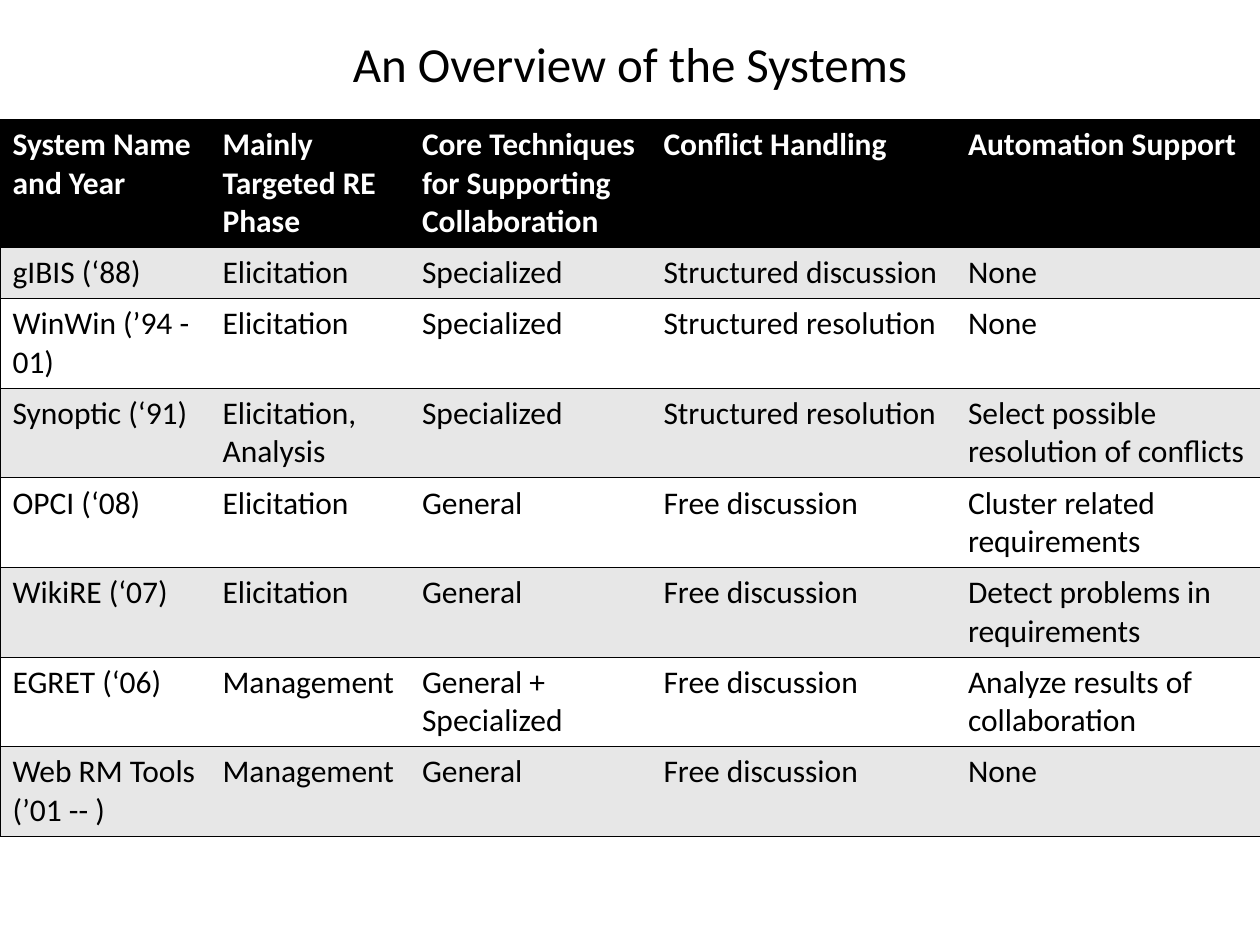
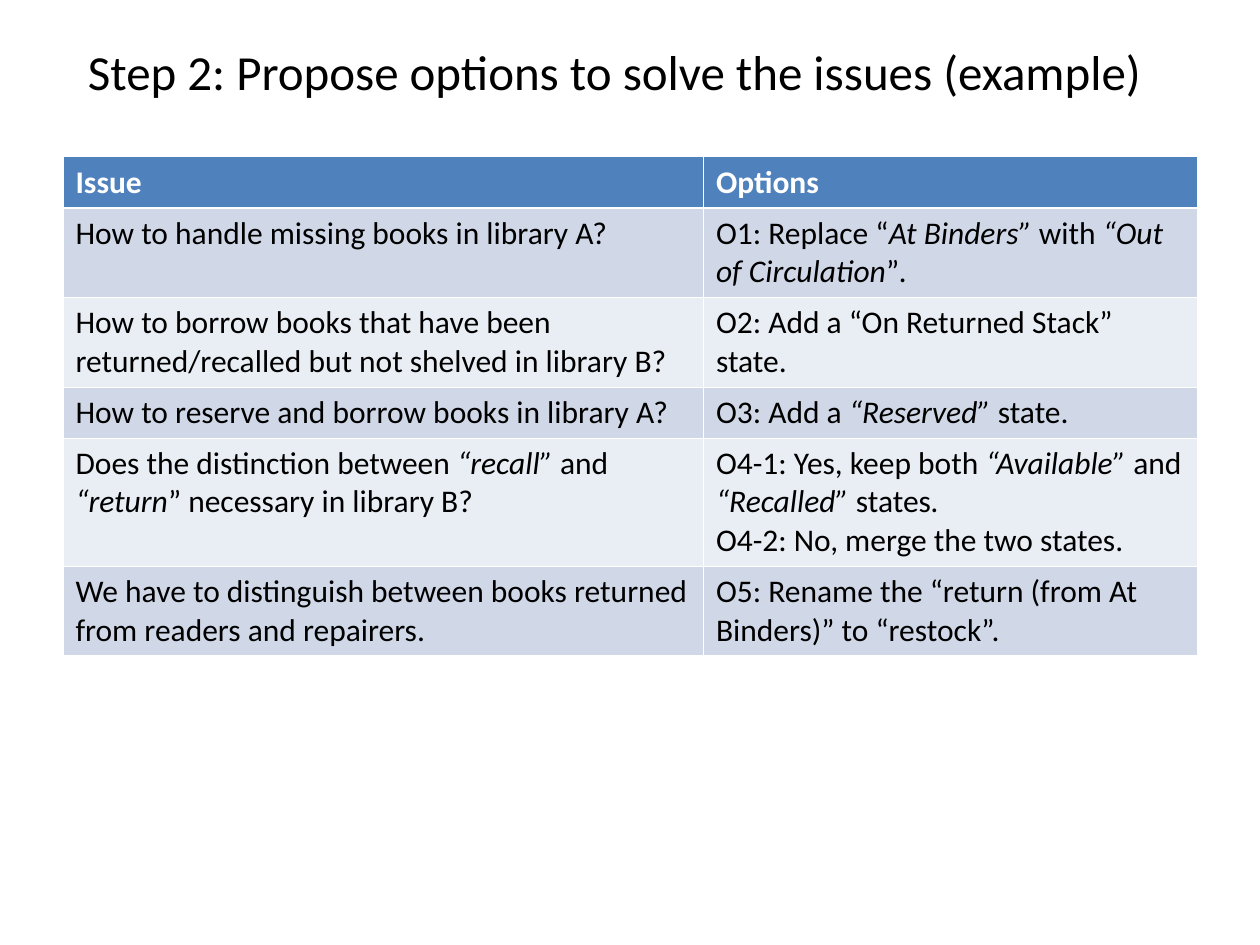
import pptx
import pptx.util
import pptx.dml.color
import pptx.enum.text
import pptx.oxml
import pptx.oxml.ns

Pt = pptx.util.Pt
FACE = "Calibri"
BLACK, WHITE = "000000", "FFFFFF"
THIN, THICK = 0.45, 1.47
NO_GRID = "{2D5ABB26-0587-4C30-8999-92F81FD0307C}"

MONO = dict(head=BLACK, bands=("E7E7E7", WHITE), line=BLACK, inner=False, rule=THIN)
BLUE = dict(head="4F81BD", bands=("D0D8E8", "E9EDF4"), line=WHITE, inner=True, rule=THICK)

SYSTEMS = [
    ("System Name and Year", "Mainly Targeted RE Phase",
     "Core Techniques for Supporting Collaboration", "Conflict Handling", "Automation Support"),
    ("gIBIS (‘88)", "Elicitation", "Specialized", "Structured discussion", "None"),
    ("WinWin (’94 - 01)", "Elicitation", "Specialized", "Structured resolution", "None"),
    ("Synoptic (‘91)", "Elicitation, Analysis", "Specialized", "Structured resolution",
     "Select possible resolution of conflicts"),
    ("OPCI (‘08)", "Elicitation", "General", "Free discussion", "Cluster related requirements"),
    ("WikiRE (‘07)", "Elicitation", "General", "Free discussion", "Detect problems in requirements"),
    ("EGRET (‘06)", "Management", "General + Specialized", "Free discussion",
     "Analyze results of collaboration"),
    ("Web RM Tools (’01 -- )", "Management", "General", "Free discussion", "None"),
]

ISSUES = [
    ("Issue", "Options"),
    ("How to handle missing books in library A?",
     "O1: Replace “*At Binders”* with *“Out of Circulation*”*.*"),
    ("How to borrow books that have been returned/recalled but not shelved in library B?",
     "O2: Add a “On Returned Stack” state."),
    ("How to reserve and borrow books in library A?", "O3: Add a *“Reserved”* state."),
    ("Does the distinction between *“recall” *and *“return*” necessary in library B?",
     "O4-1: Yes, keep both *“Available” *and *“Recalled” *states*.*\n"
     "O4-2: No, merge the two states."),
    ("We have to distinguish between books returned from readers and repairers.",
     "O5: Rename the “return (from At Binders)” to “restock”."),
]


def paint(hue):
    return pptx.dml.color.RGBColor.from_string(hue)


def style(font, hue, **form):
    for key, value in dict(name=FACE, **form).items():
        setattr(font, key, value)
    font.color.rgb = paint(hue)


def write(frame, text, hue, **form):
    for num, part in enumerate(text.split("\n")):
        para = frame.add_paragraph() if num else frame.paragraphs[0]
        for turn, piece in enumerate(part.split("*")):
            if piece:
                run = para.add_run()
                run.text = piece
                style(run.font, hue, italic=turn % 2 == 1, **form)


def edge(cell, side, hue, width):
    space = pptx.oxml.ns.nsdecls("a")
    cell._tc.get_or_add_tcPr().append(pptx.oxml.parse_xml(
        f'<a:ln{side} {space} w="{int(Pt(width))}"><a:solidFill>'
        f'<a:srgbClr val="{hue}"/></a:solidFill></a:ln{side}>'))


def title(slide, box, text):
    shape = slide.shapes.title
    for key, value in zip(("left", "top", "width", "height"), box):
        setattr(shape, key, Pt(value))
    frame = shape.text_frame
    form = dict(word_wrap=True, auto_size=pptx.enum.text.MSO_AUTO_SIZE.NONE,
                vertical_anchor=pptx.enum.text.MSO_ANCHOR.MIDDLE)
    for key, value in form.items():
        setattr(frame, key, value)
    frame.paragraphs[0].alignment = pptx.enum.text.PP_ALIGN.CENTER
    write(frame, text, BLACK, size=Pt(28))


def grid(slide, left, top, widths, lines, rows, look):
    highs = [count * 22 + 7.2 for count in lines]
    frame = slide.shapes.add_table(len(rows), len(widths), Pt(left), Pt(top),
                                   Pt(sum(widths)), Pt(sum(highs)))
    table = frame.table
    table._tbl.tblPr.find(pptx.oxml.ns.qn("a:tableStyleId")).text = NO_GRID
    for col, width in zip(table.columns, widths):
        col.width = Pt(width)
    for row, high in zip(table.rows, highs):
        row.height = Pt(high)
    for down, row in enumerate(rows):
        for over, text in enumerate(row):
            cell = table.cell(down, over)
            sides = {
                "L": THIN if look["inner"] or over == 0 else 0,
                "R": THIN if look["inner"] or over == len(row) - 1 else 0,
                "T": look["rule"] if down == 1 else THIN,
                "B": look["rule"] if down == 0 else THIN,
            }
            for side, width in sides.items():
                if width:
                    edge(cell, side, look["line"], width)
            cell.fill.solid()
            cell.fill.fore_color.rgb = paint(look["bands"][(down - 1) % 2] if down else look["head"])
            write(cell.text_frame, text, BLACK if down else WHITE, size=Pt(18), bold=down == 0)


def main():
    deck = pptx.Presentation()
    deck.slide_width, deck.slide_height = Pt(720), Pt(540)
    plain = deck.slide_layouts[5]

    slide = deck.slides.add_slide(plain)
    title(slide, (36, 18, 648, 36), "An Overview of the Systems")
    grid(slide, 0, 68.2, (120, 114, 138, 174, 174), (3, 1, 2, 2, 2, 2, 2, 2), SYSTEMS, MONO)

    slide = deck.slides.add_slide(plain)
    title(slide, (18, 21.6, 666, 38), "Step 2: Propose options to solve the issues (example)")
    grid(slide, 36, 89.6, (366, 282), (1, 2, 2, 1, 3, 2), ISSUES, BLUE)

    deck.save("out.pptx")


if __name__ == "__main__":
    main()
